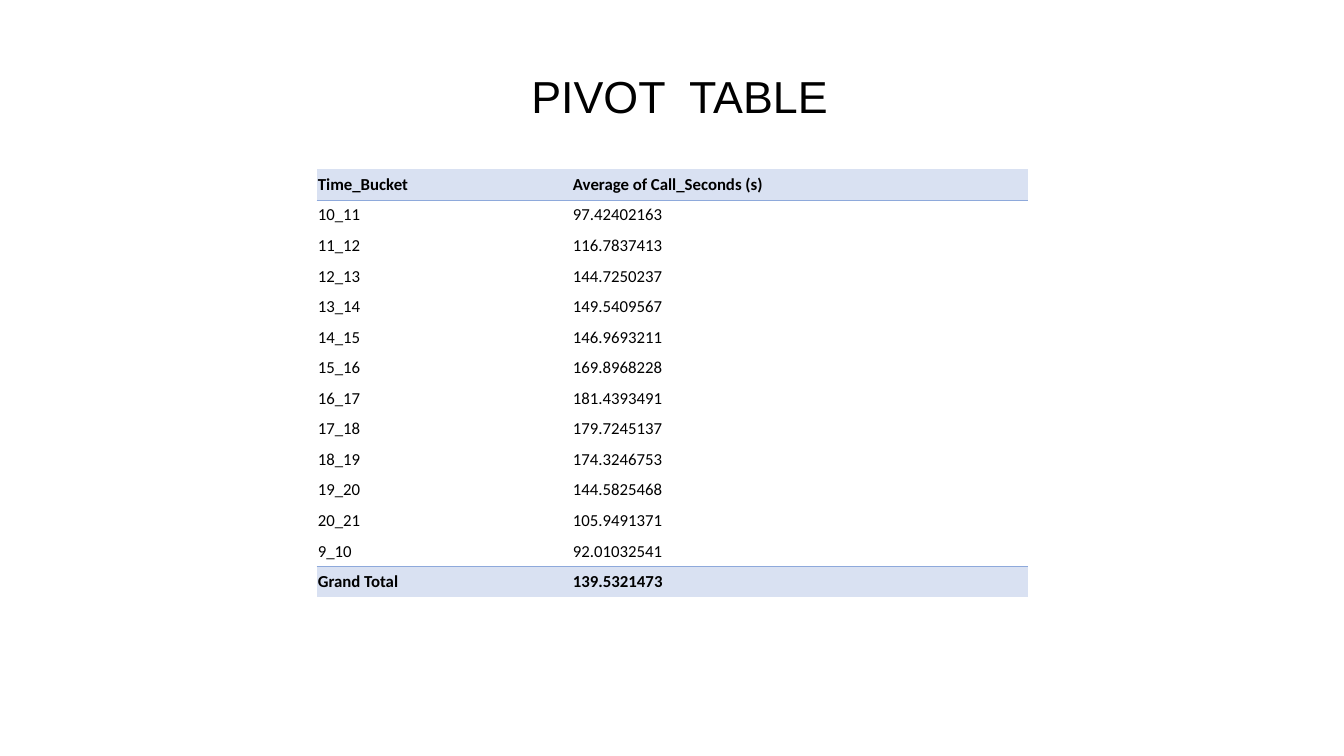
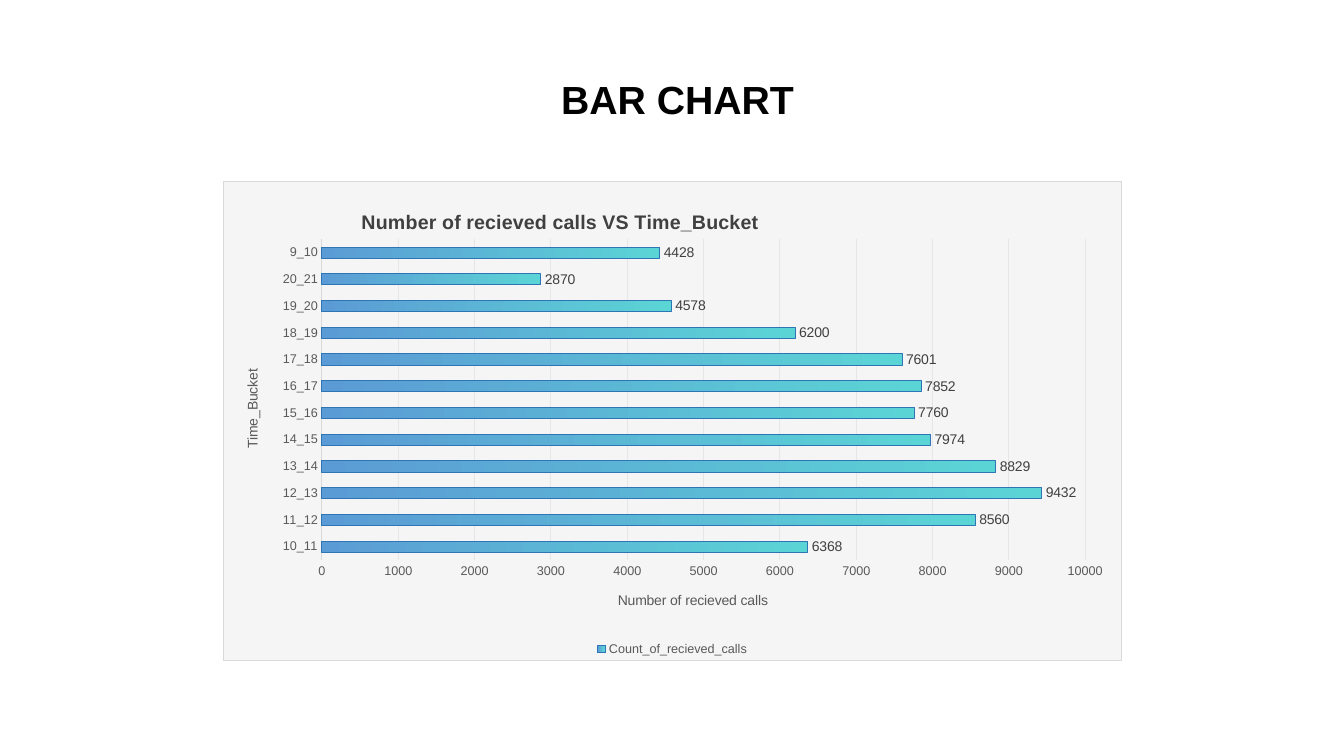
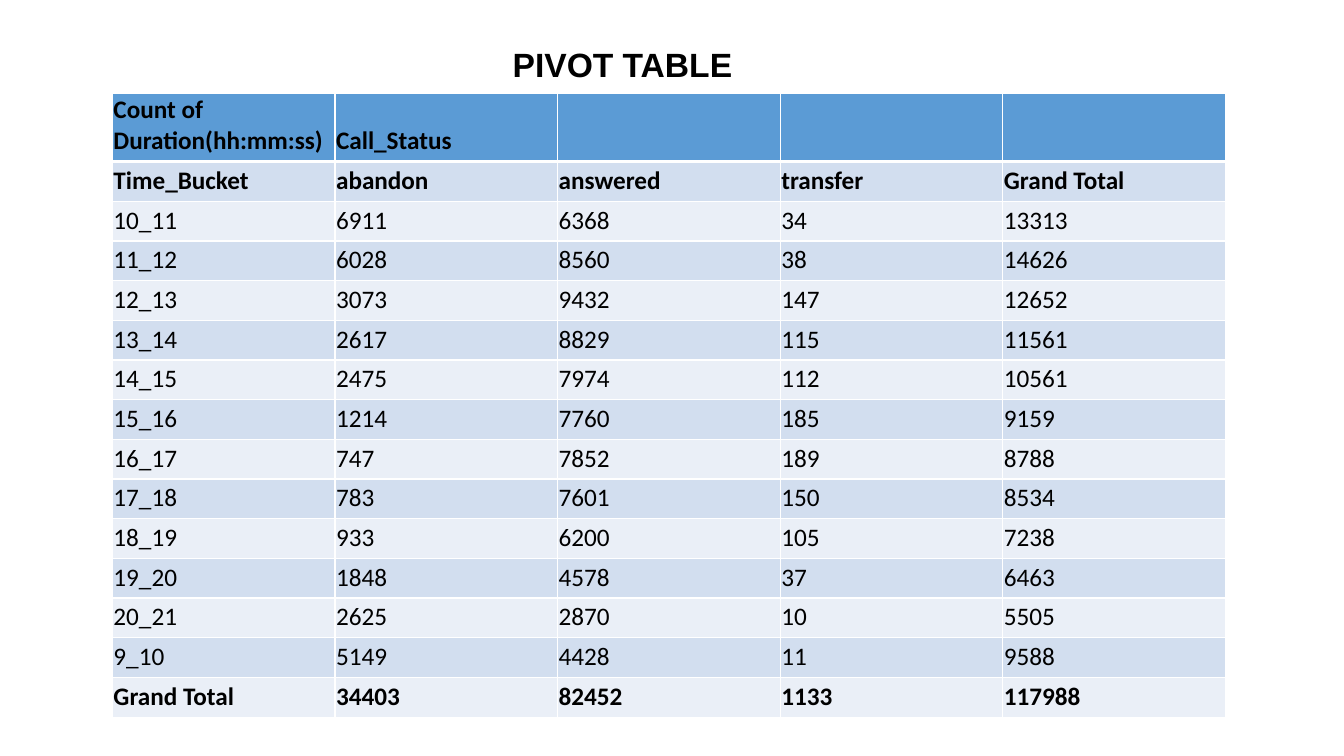
from lxml.etree import SubElement
from pptx import Presentation
from pptx.chart.data import CategoryChartData
from pptx.dml.color import RGBColor
from pptx.enum.chart import XL_CHART_TYPE, XL_LABEL_POSITION, XL_LEGEND_POSITION, XL_TICK_MARK
from pptx.enum.text import MSO_ANCHOR, MSO_AUTO_SIZE, PP_ALIGN
from pptx.oxml import parse_xml
from pptx.oxml.ns import nsdecls, qn
from pptx.util import Cm, Pt

BLACK = RGBColor(0x00, 0x00, 0x00)
WHITE = RGBColor(0xFF, 0xFF, 0xFF)
DARK_GREY = RGBColor(0x40, 0x40, 0x40)
MID_GREY = RGBColor(0x59, 0x59, 0x59)
BORDER_GREY = RGBColor(0xD9, 0xD9, 0xD9)
GRID_GREY = RGBColor(0xE6, 0xE6, 0xE6)
CHART_GREY = RGBColor(0xF5, 0xF5, 0xF5)
BLUE = RGBColor(0x5B, 0x9B, 0xD5)
DARK_BLUE = RGBColor(0x2E, 0x75, 0xB6)
TURQUOISE = RGBColor(0x5B, 0xD4, 0xD5)
PALE_BLUE = RGBColor(0xD9, 0xE1, 0xF2)
RULE_BLUE = RGBColor(0x8E, 0xA9, 0xDB)
BAND_DARK = RGBColor(0xD2, 0xDE, 0xEF)
BAND_LIGHT = RGBColor(0xEA, 0xEF, 0xF7)

BUCKETS = ["10_11", "11_12", "12_13", "13_14", "14_15", "15_16",
           "16_17", "17_18", "18_19", "19_20", "20_21", "9_10"]
AVERAGES = ["97.42402163", "116.7837413", "144.7250237", "149.5409567",
            "146.9693211", "169.8968228", "181.4393491", "179.7245137",
            "174.3246753", "144.5825468", "105.9491371", "92.01032541"]
ABANDONED = [6911, 6028, 3073, 2617, 2475, 1214, 747, 783, 933, 1848, 2625, 5149]
ANSWERED = [6368, 8560, 9432, 8829, 7974, 7760, 7852, 7601, 6200, 4578, 2870, 4428]
TRANSFERRED = [34, 38, 147, 115, 112, 185, 189, 150, 105, 37, 10, 11]


class Deck:
    """Holds the shared style and the current slide."""

    title_font = "Arial"
    table_font = "Calibri"

    def __init__(self):
        self.presentation = Presentation()
        self.presentation.slide_width = Cm(33.87)
        self.presentation.slide_height = Cm(19.05)
        self.slide = None

    def style(self, font, name, size, color, bold=False):
        font.name, font.size, font.bold = name, Pt(size), bold
        font.color.rgb = color

    def add_slide(self, title, left, top, width, height, inset, size, bold=True):
        self.slide = self.presentation.slides.add_slide(self.presentation.slide_layouts[5])
        shape = self.slide.shapes.title
        shape.left, shape.top, shape.width, shape.height = Cm(left), Cm(top), Cm(width), Cm(height)
        frame = shape.text_frame
        frame.text = title
        frame.word_wrap = True
        frame.auto_size = MSO_AUTO_SIZE.NONE
        frame.vertical_anchor = MSO_ANCHOR.TOP
        frame.margin_left = Cm(inset)
        paragraph = frame.paragraphs[0]
        paragraph.alignment = PP_ALIGN.LEFT
        self.style(paragraph.font, self.title_font, size, BLACK, bold)

    def border(self, cell, side, color, width):
        properties = cell._tc.get_or_add_tcPr()
        line = SubElement(properties, qn(f"a:ln{side}"), w=str(Pt(width)))
        if color is None:
            SubElement(line, qn("a:noFill"))
        else:
            fill = SubElement(line, qn("a:solidFill"))
            SubElement(fill, qn("a:srgbClr"), val=str(color))

    def add_table(self, rows, left, top, widths, heights, size, bold_rows, fill_of, border_of):
        shape = self.slide.shapes.add_table(len(rows), len(widths), Cm(left), Cm(top),
                                            Cm(sum(widths)), Cm(sum(heights)))
        table = shape.table
        table.first_row = table.horz_banding = False
        for column, width in zip(table.columns, widths):
            column.width = Cm(width)
        for index, (row, values) in enumerate(zip(table.rows, rows)):
            row.height = Cm(heights[index])
            for cell, value in zip(row.cells, values):
                cell.text = str(value)
                cell.vertical_anchor = MSO_ANCHOR.BOTTOM
                cell.margin_left = cell.margin_top = cell.margin_right = Cm(0.03)
                cell.margin_bottom = Cm(0.13)
                self.style(cell.text_frame.paragraphs[0].font, self.table_font, size, BLACK,
                           index in bold_rows)
                for side in "LRTB":
                    self.border(cell, side, *border_of(index, side))
                color = fill_of(index)
                if color is None:
                    cell.fill.background()
                else:
                    cell.fill.solid()
                    cell.fill.fore_color.rgb = color

    def place(self, element, index, **fractions):
        for layout in element.findall(qn("c:layout")):
            element.remove(layout)
        layout = parse_xml(f"<c:layout {nsdecls('c')}><c:manualLayout/></c:layout>")
        for name, value in fractions.items():
            SubElement(layout[0], qn(f"c:{name}"), val=str(value))
        element.insert(index, layout)

    def style_axis(self, axis, title):
        axis.major_tick_mark = axis.minor_tick_mark = XL_TICK_MARK.NONE
        self.style(axis.tick_labels.font, self.title_font, 9, MID_GREY)
        frame = axis.axis_title.text_frame
        frame.text = title
        self.style(frame.paragraphs[0].font, self.title_font, 10, MID_GREY)

    def add_bar_chart(self, title, categories, series_name, values, axis_titles,
                      left, top, width, height):
        data = CategoryChartData()
        data.categories = categories
        data.add_series(series_name, values)
        chart = self.slide.shapes.add_chart(XL_CHART_TYPE.BAR_CLUSTERED, Cm(left), Cm(top),
                                            Cm(width), Cm(height), data).chart
        self.style(chart.font, self.title_font, 10, BLACK)
        chart.element.find(qn("c:txPr")).addprevious(parse_xml(
            f"<c:spPr {nsdecls('c', 'a')}>"
            f"<a:solidFill><a:srgbClr val='{CHART_GREY}'/></a:solidFill>"
            f"<a:ln w='{Pt(0.75)}'><a:solidFill><a:srgbClr val='{BORDER_GREY}'/></a:solidFill></a:ln>"
            "</c:spPr>"))

        chart.has_title = True
        frame = chart.chart_title.text_frame
        frame.text = title
        self.style(frame.paragraphs[0].font, self.title_font, 14, DARK_GREY, True)
        self.place(chart.chart_title.element, 1, xMode="edge", yMode="edge", x=0.15, y=0.05)
        self.place(chart.element.chart.plotArea, 0, layoutTarget="inner", xMode="edge",
                   yMode="edge", x=0.11, y=0.12, w=0.85, h=0.67)

        chart.has_legend = True
        chart.legend.position = XL_LEGEND_POSITION.BOTTOM
        chart.legend.include_in_layout = False
        self.style(chart.legend.font, self.title_font, 9, MID_GREY)

        category_axis, value_axis = chart.category_axis, chart.value_axis
        for axis, axis_title in zip((category_axis, value_axis), axis_titles):
            self.style_axis(axis, axis_title)
        category_axis.format.line.color.rgb = BORDER_GREY
        category_axis.format.line.width = Pt(0.75)
        value_axis.format.line.fill.background()
        value_axis.minimum_scale, value_axis.maximum_scale = 0, 10000
        value_axis.major_unit = 1000
        value_axis.major_gridlines.format.line.color.rgb = GRID_GREY
        value_axis.major_gridlines.format.line.width = Pt(0.75)

        plot = chart.plots[0]
        plot.vary_by_categories = False
        plot.gap_width, plot.overlap = 140, -40
        bars = plot.series[0].format
        bars.fill.gradient()
        bars.fill.gradient_angle = 180
        for stop, position, color in zip(bars.fill.gradient_stops, (0, 1), (TURQUOISE, BLUE)):
            stop.position = position
            stop.color.rgb = color
        bars.line.color.rgb = DARK_BLUE
        bars.line.width = Pt(0.75)
        plot.has_data_labels = True
        labels = plot.data_labels
        labels.show_value = True
        labels.position = XL_LABEL_POSITION.OUTSIDE_END
        self.style(labels.font, self.title_font, 10, DARK_GREY)


def average_border(index, side):
    """Rule off the header and the total row."""
    if (index, side) in {(0, "B"), (1, "T"), (12, "B"), (13, "T")}:
        return RULE_BLUE, 0.5
    return None, 0.5


def status_border(index, side):
    """White grid with a heavy rule below the header."""
    return WHITE, 3 if (index, side) in {(0, "B"), (1, "T")} else 1


def status_fill(index):
    """Blue header above alternating bands."""
    if index == 0:
        return BLUE
    return BAND_DARK if index % 2 else BAND_LIGHT


def main():
    """Build and save the three slides."""
    deck = Deck()

    deck.add_slide("PIVOT  TABLE", 8.46, 1.6, 17.17, 1.52, 4.93, 32, bold=False)
    average_rows = [("Time_Bucket", "Average of Call_Seconds (s)"),
                    *zip(BUCKETS, AVERAGES),
                    ("Grand Total", "139.5321473")]
    deck.add_table(average_rows, 7.98, 4.27, [6.43, 11.5], [0.77] * 14, 12, {0, 13},
                   lambda index: PALE_BLUE if index in (0, 13) else None, average_border)

    deck.add_slide("BAR CHART", 8.81, 1.78, 15.14, 2.08, 5.33, 28)
    deck.add_bar_chart("Number of recieved calls VS Time_Bucket", BUCKETS,
                       "Count_of_recieved_calls", ANSWERED,
                       ("Time_Bucket", "Number of recieved calls"), 5.61, 4.57, 22.66, 12.09)

    deck.add_slide("PIVOT TABLE", 10.13, 0.99, 10.8, 1.27, 2.79, 24)
    counts = list(zip(ABANDONED, ANSWERED, TRANSFERRED))
    totals = [sum(column) for column in zip(*counts)]
    status_rows = [("Count of Duration(hh:mm:ss)", "Call_Status", "", "", ""),
                   ("Time_Bucket", "abandon", "answered", "transfer", "Grand Total"),
                   *((bucket, *count, sum(count)) for bucket, count in zip(BUCKETS, counts)),
                   ("Grand Total", *totals, sum(totals))]
    deck.add_table(status_rows, 2.83, 2.36, [5.61] * 5, [1.52] + [1] * 14, 18, {0, 1, 14},
                   status_fill, status_border)

    deck.presentation.save("out.pptx")


if __name__ == "__main__":
    main()
